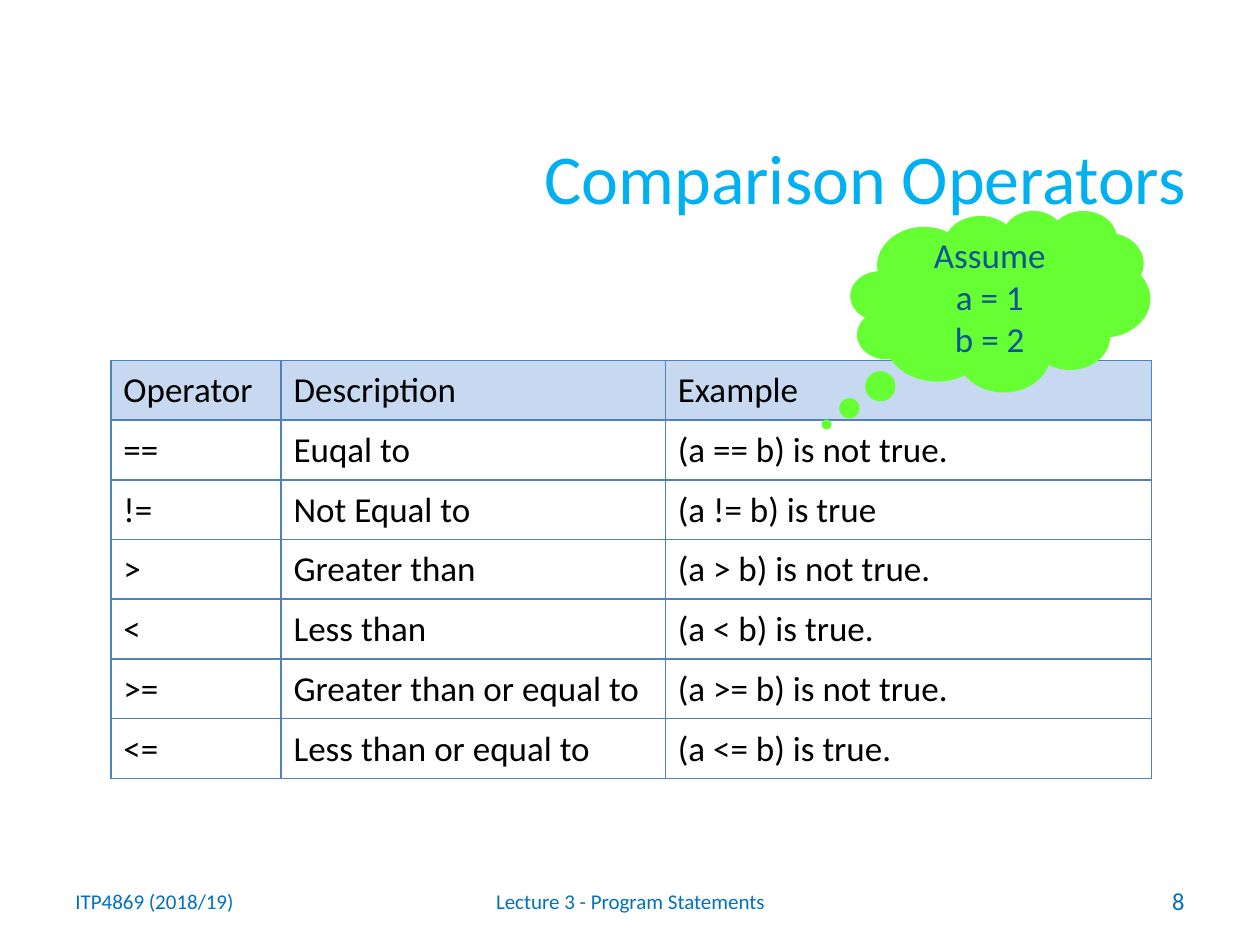
from lxml.etree import SubElement
from pptx import Presentation
from pptx.dml.color import RGBColor
from pptx.enum.shapes import MSO_SHAPE as Shape
from pptx.enum.text import MSO_ANCHOR as Anchor, PP_ALIGN as Align
from pptx.oxml.ns import qn
from pptx.util import Inches, Pt

# Content
TITLE = "Comparison Operators"
ASSUMPTIONS = ["Assume", "a = 1", "b = 2"]
OPERATORS = [
    ("Operator", "Description", "Example"),
    ("==", "Euqal to", "(a == b) is not true."),
    ("!=", "Not Equal to", "(a != b) is true"),
    (">", "Greater than", "(a > b) is not true."),
    ("<", "Less than", "(a < b) is true."),
    (">=", "Greater than or equal to", "(a >= b) is not true."),
    ("<=", "Less than or equal to", "(a <= b) is true."),
]
# Footer: text, left, width, alignment, size
FOOTER = [
    ("ITP4869 (2018/19)", 0.5, 2.33, Align.LEFT, 12),
    ("Lecture 3 - Program Statements", 3.42, 3.17, Align.CENTER, 12),
    ("8", 7.17, 2.33, Align.RIGHT, 14),
]

# Layout and style
COLUMN_WIDTHS = [1.35, 3.05, 3.86]
ROW_HEIGHT = 3.32 / len(OPERATORS)
FONT = "Calibri"
TITLE_BLUE, FOOTER_BLUE, CALLOUT_BLUE = "00B0F0", "0070C0", "0B5395"
BORDER, HEADER_FILL, CLOUD_GREEN, BLACK = "4F81BD", "C6D9F1", "66FF33", "000000"


def rgb(code):
    return RGBColor.from_string(code)


def box(*lengths):
    return [Inches(length) for length in lengths]


def write(frame, text, size, color, align):
    frame.text = text
    frame.word_wrap = True
    frame.vertical_anchor = Anchor.MIDDLE
    for paragraph in frame.paragraphs:
        paragraph.alignment = align
        for run in paragraph.runs:
            run.font.name, run.font.size = FONT, Pt(size)
            run.font.color.rgb = rgb(color)


def add_borders(cell, color, width):
    properties = cell._tc.get_or_add_tcPr()
    for side in ("a:lnL", "a:lnR", "a:lnT", "a:lnB"):
        line = SubElement(properties, qn(side), w=str(Pt(width)))
        SubElement(SubElement(line, qn("a:solidFill")), qn("a:srgbClr"), val=color)


prs = Presentation()
prs.slide_width, prs.slide_height = box(10, 7.5)
slide = prs.slides.add_slide(prs.slide_layouts[5])

# Title
title = slide.shapes.title
title.left, title.top, title.width, title.height = box(0.49, 0.86, 9.02, 1.08)
write(title.text_frame, TITLE, 40, TITLE_BLUE, Align.RIGHT)

# Footer
for text, left, width, align, size in FOOTER:
    note = slide.shapes.add_textbox(*box(left, 6.95, width, 0.4))
    write(note.text_frame, text, size, FOOTER_BLUE, align)

# Operator table
table = slide.shapes.add_table(
    len(OPERATORS), len(COLUMN_WIDTHS),
    *box(0.88, 2.86, sum(COLUMN_WIDTHS), ROW_HEIGHT * len(OPERATORS))).table
for column, width in zip(table.columns, COLUMN_WIDTHS):
    column.width = Inches(width)
for r, row in enumerate(OPERATORS):
    table.rows[r].height = Inches(ROW_HEIGHT)
    for c, text in enumerate(row):
        cell = table.cell(r, c)
        write(cell.text_frame, text, 20, BLACK, Align.LEFT)
        cell.vertical_anchor = Anchor.MIDDLE
        cell.margin_left, cell.margin_top, cell.margin_right, cell.margin_bottom = box(
            0.1, 0.01, 0.1, 0)
        add_borders(cell, BORDER, 1)
        if r == 0:
            cell.fill.solid()
            cell.fill.fore_color.rgb = rgb(HEADER_FILL)
        else:
            cell.fill.background()

# Thought cloud with the assumed values
cloud = slide.shapes.add_shape(Shape.CLOUD_CALLOUT, *box(6.75, 1.67, 2.38, 1.44))
cloud.adjustments[0], cloud.adjustments[1] = -0.58, 0.68
cloud.shadow.inherit = False
cloud.fill.solid()
cloud.fill.fore_color.rgb = rgb(CLOUD_GREEN)
cloud.line.fill.background()
write(cloud.text_frame, "\n".join(ASSUMPTIONS), 20, CALLOUT_BLUE, Align.CENTER)

prs.save("out.pptx")
